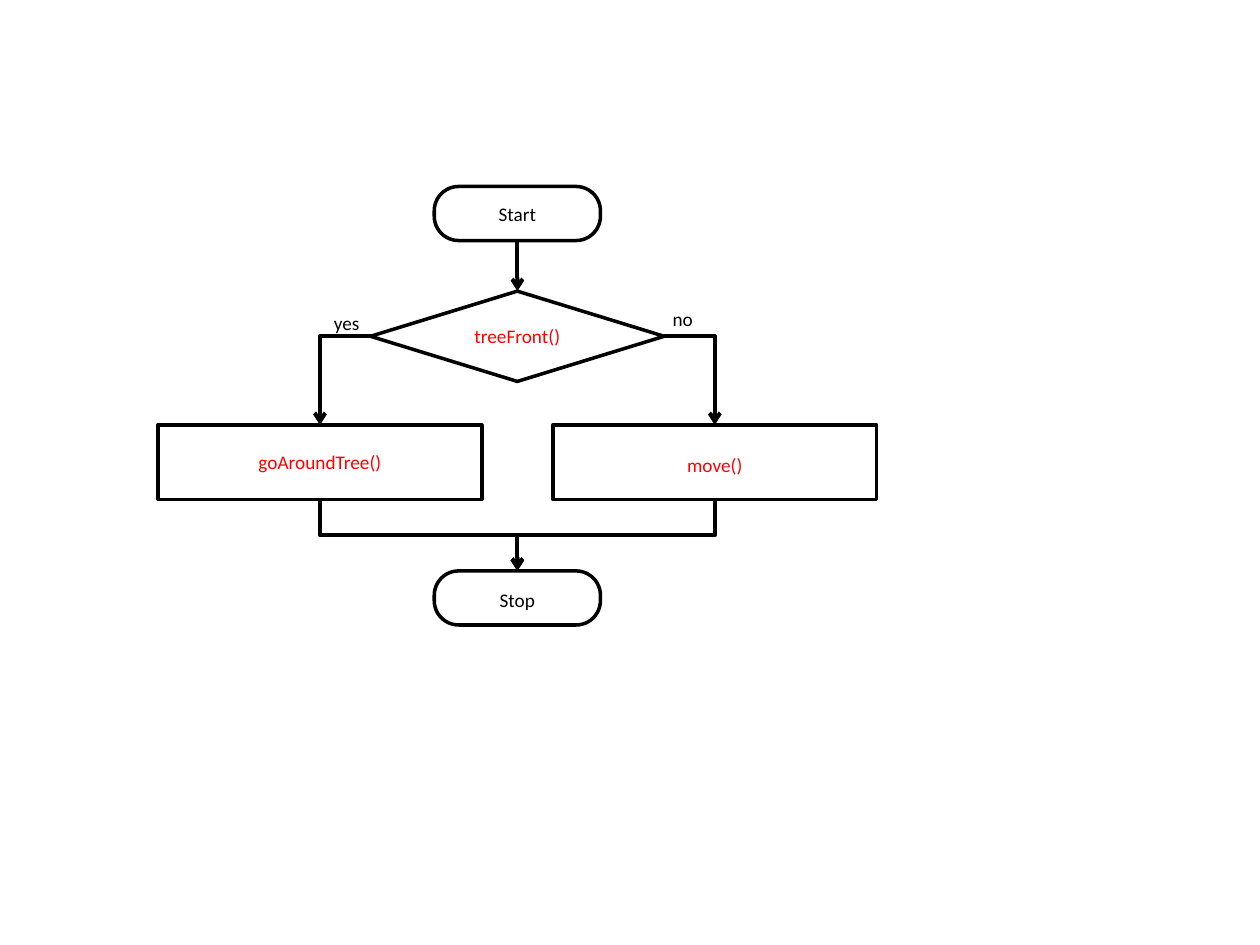
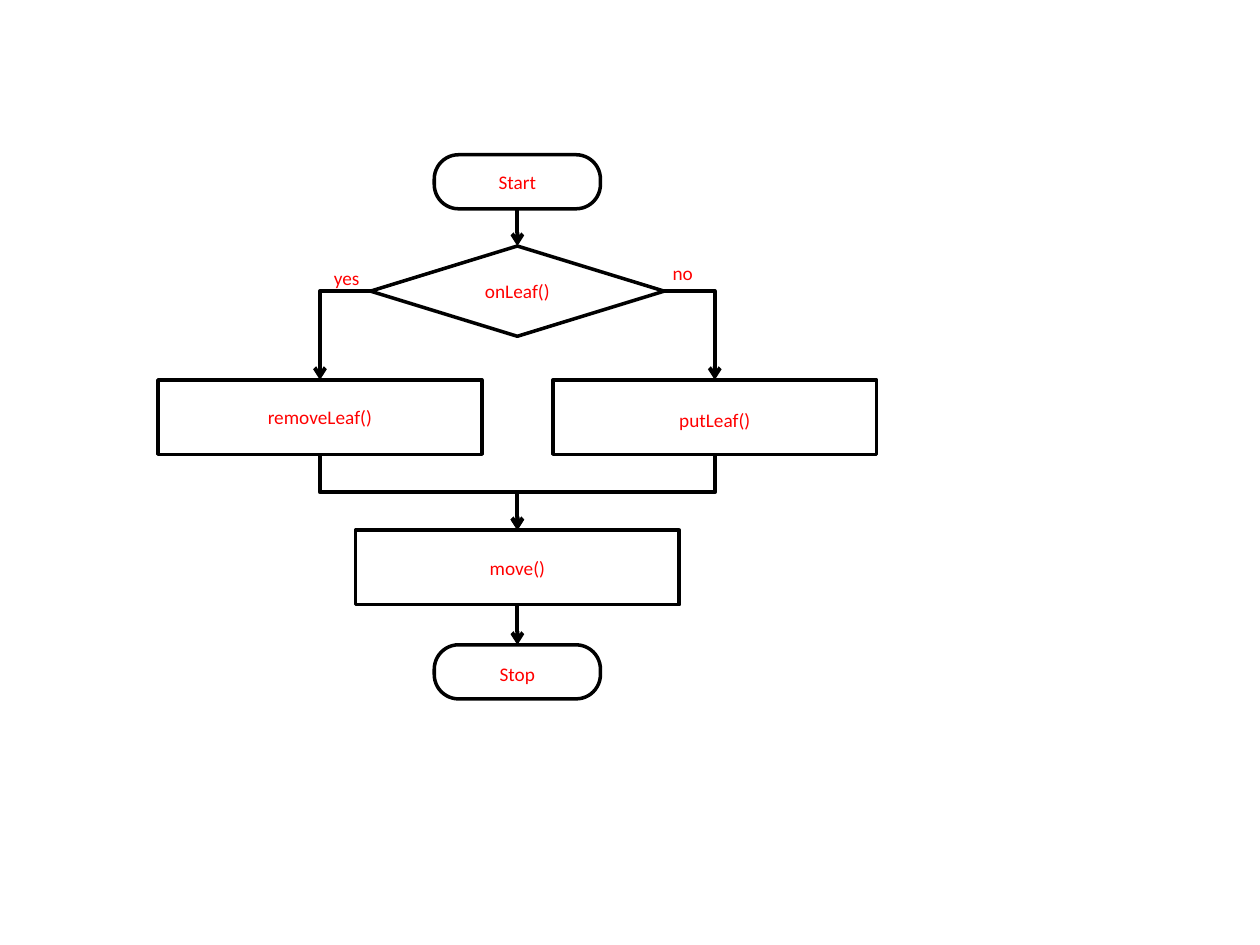
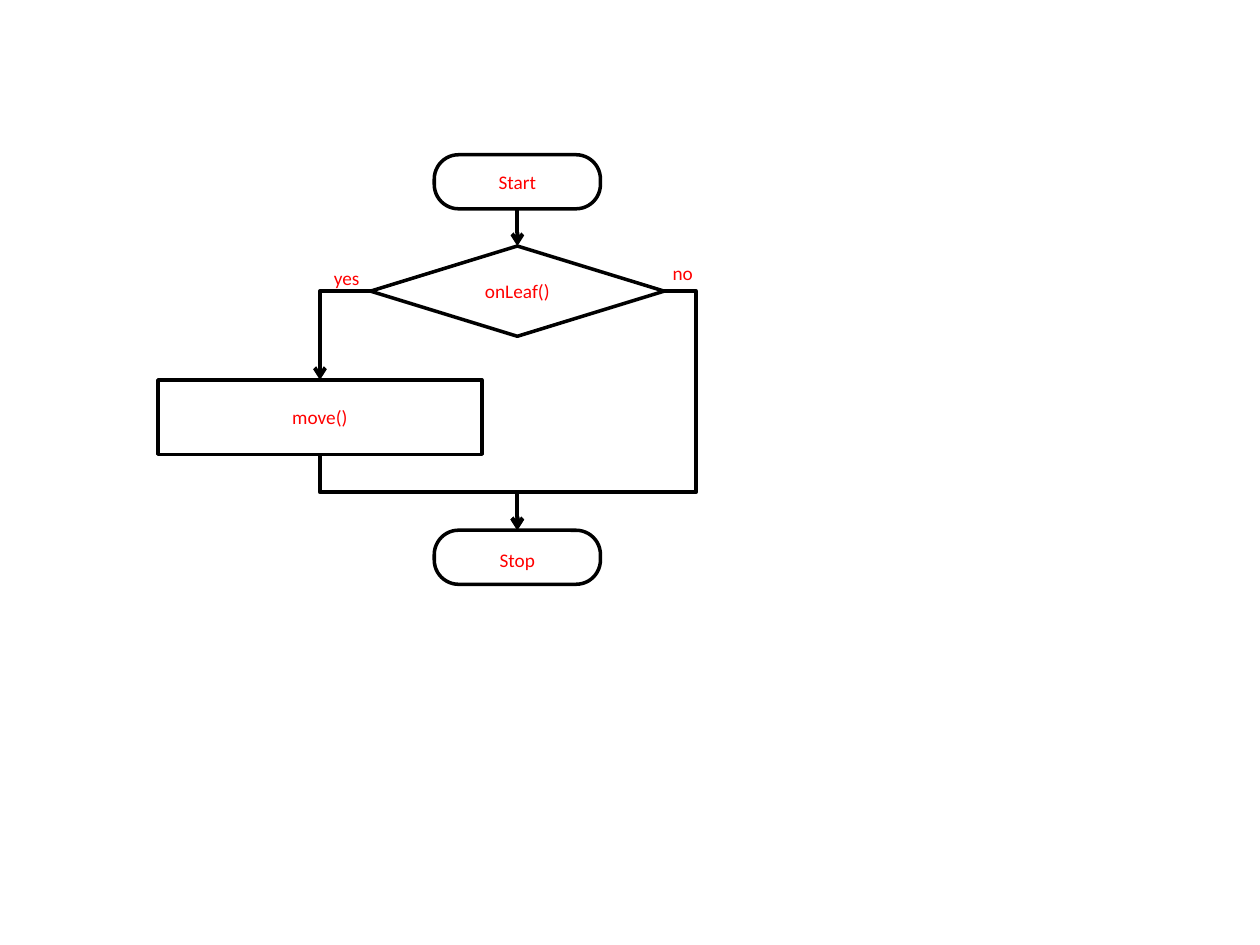
"""Build three flowcharts that branch on a yes/no question."""
from dataclasses import dataclass
from typing import Optional

from lxml import etree
from pptx import Presentation
from pptx.dml.color import RGBColor
from pptx.enum.shapes import MSO_CONNECTOR, MSO_SHAPE
from pptx.enum.text import MSO_ANCHOR, PP_ALIGN
from pptx.oxml.ns import qn
from pptx.shapes.shapetree import SlideShapes
from pptx.text.text import TextFrame
from pptx.util import Cm, Pt

STRAIGHT = MSO_CONNECTOR.STRAIGHT
ELBOW = MSO_CONNECTOR.ELBOW
ROUNDED = MSO_SHAPE.ROUNDED_RECTANGLE
RECTANGLE = MSO_SHAPE.RECTANGLE
DECISION = MSO_SHAPE.FLOWCHART_DECISION
CENTER = PP_ALIGN.CENTER
MIDDLE = MSO_ANCHOR.MIDDLE


@dataclass(frozen=True)
class Theme:
    font: str = "Calibri"
    text_size: Pt = Pt(11)
    outline: Pt = Pt(2)
    arrow: Pt = Pt(2.25)
    black: RGBColor = RGBColor(0x00, 0x00, 0x00)
    red: RGBColor = RGBColor(0xFF, 0x00, 0x00)
    white: RGBColor = RGBColor(0xFF, 0xFF, 0xFF)
    roundness: float = 0.45
    loose: float = 1.2


@dataclass(frozen=True)
class Step:
    preset: MSO_SHAPE
    width: float
    height: float


@dataclass(frozen=True)
class Flow:
    question: str
    yes_action: str
    no_action: Optional[str]
    start_top: float
    question_top: float
    merge_top: float
    final_action: Optional[str] = None
    stop_top: Optional[float] = None
    frame_color: RGBColor = Theme.red


THEME = Theme()
TERMINAL = Step(ROUNDED, 3.35, 1.09)
QUESTION = Step(DECISION, 5.92, 1.82)
ACTION = Step(RECTANGLE, 6.53, 1.5)

AXIS = 10.43
BRANCH = 3.98
YES_X = AXIS - BRANCH
NO_X = AXIS + BRANCH
ACTION_DROP = 2.7
BYPASS = 0.64
LABEL_DROP = 0.19
LABEL_WIDTH, LABEL_HEIGHT = 1.32, 0.76
YES_LABEL_X, NO_LABEL_X = 6.48, 13.31

FLOWS = (
    Flow("treeFront()", "goAroundTree()", "move()", 3.76, 5.87, 11.51,
         frame_color=THEME.black),
    Flow("onLeaf()", "removeLeaf()", "putLeaf()", 3.12, 4.96, 10.69,
         final_action="move()", stop_top=13.0),
    Flow("onLeaf()", "move()", None, 3.12, 4.96, 10.69),
)


def write(frame: TextFrame, words: str, color: RGBColor,
          spacing: Optional[float] = None) -> None:
    """Put one styled run into the first paragraph."""
    frame.word_wrap = True
    paragraph = frame.paragraphs[0]
    if spacing:
        paragraph.line_spacing = spacing
    run = paragraph.add_run()
    run.text = words
    run.font.name = THEME.font
    run.font.size = THEME.text_size
    run.font.color.rgb = color


def draw_step(shapes: SlideShapes, step: Step, center: float, top: float,
              words: str, color: RGBColor = THEME.red,
              spacing: Optional[float] = None) -> float:
    """Draw a step centred on a column and return its bottom edge."""
    shape = shapes.add_shape(step.preset, Cm(center - step.width / 2), Cm(top),
                             Cm(step.width), Cm(step.height))
    shape.shadow.inherit = False
    shape.fill.solid()
    shape.fill.fore_color.rgb = THEME.white
    shape.line.color.rgb = THEME.black
    shape.line.width = THEME.outline
    frame = shape.text_frame
    if step.preset == ROUNDED:
        shape.adjustments[0] = THEME.roundness
    if step.preset == DECISION:
        frame.margin_left = frame.margin_right = 0
        frame.margin_top = frame.margin_bottom = 0
    frame.vertical_anchor = MIDDLE
    write(frame, words, color, spacing)
    frame.paragraphs[0].alignment = CENTER
    return top + step.height


def draw_label(shapes: SlideShapes, left: float, top: float, words: str,
               color: RGBColor, spacing: Optional[float] = None) -> None:
    """Name a branch beside the question."""
    label = shapes.add_textbox(Cm(left), Cm(top), Cm(LABEL_WIDTH),
                               Cm(LABEL_HEIGHT))
    write(label.text_frame, words, color, spacing)


def draw_arrow(shapes: SlideShapes, left: float, top: float, width: float,
               height: float, preset: str = "line", turn: int = 0,
               flip: Optional[str] = None,
               bends: tuple[float, ...] = ()) -> None:
    """Draw a connector in its unturned frame, then turn and flip it."""
    kind = STRAIGHT if preset == "line" else ELBOW
    connector = shapes.add_connector(kind, Cm(left), Cm(top),
                                     Cm(left + width), Cm(top + height))
    connector.line.color.rgb = THEME.black
    connector.line.width = THEME.arrow
    properties = connector._element.spPr
    etree.SubElement(properties.find(qn("a:ln")), qn("a:tailEnd"), type="arrow")
    etree.SubElement(properties, qn("a:effectLst"))
    frame = properties.find(qn("a:xfrm"))
    if turn:
        frame.set("rot", str(turn * 60000))
    if flip:
        frame.set(flip, "1")
    geometry = properties.find(qn("a:prstGeom"))
    geometry.set("prst", preset)
    for number, bend in enumerate(bends, 1):
        etree.SubElement(geometry.find(qn("a:avLst")), qn("a:gd"),
                         name=f"adj{number}", fmla=f"val {round(bend * 100000)}")


def draw_merge(shapes: SlideShapes, column: float, top: float, bottom: float) -> None:
    """Lead a branch down and back to the axis."""
    drop = bottom - top
    left = (column + AXIS - drop) / 2
    upper = (top + bottom - BRANCH) / 2
    turn, flip = (270, "flipH") if column < AXIS else (90, None)
    draw_arrow(shapes, left, upper, drop, BRANCH, "bentConnector3", turn, flip)


def draw_flow(shapes: SlideShapes, flow: Flow) -> None:
    """Draw one complete flowchart."""
    start_bottom = draw_step(shapes, TERMINAL, AXIS, flow.start_top, "Start",
                             flow.frame_color)
    draw_arrow(shapes, AXIS, start_bottom, 0, flow.question_top - start_bottom)
    draw_step(shapes, QUESTION, AXIS, flow.question_top, flow.question)

    label_top = flow.question_top + LABEL_DROP
    branch_y = flow.question_top + QUESTION.height / 2
    question_right = AXIS + QUESTION.width / 2
    action_top = flow.question_top + ACTION_DROP
    reach = BRANCH - QUESTION.width / 2
    drop = action_top - branch_y

    draw_label(shapes, NO_LABEL_X, label_top, "no", flow.frame_color)
    draw_arrow(shapes, YES_X, branch_y, reach, drop, "bentConnector2", 180, "flipV")
    action_bottom = draw_step(shapes, ACTION, YES_X, action_top, flow.yes_action)
    if flow.no_action:
        draw_step(shapes, ACTION, NO_X, action_top, flow.no_action,
                  spacing=THEME.loose)
        draw_arrow(shapes, question_right, branch_y, reach, drop, "bentConnector2")
        draw_merge(shapes, NO_X, action_bottom, flow.merge_top)
    else:
        width = QUESTION.width / 2
        height = flow.merge_top - branch_y
        merge_y = (action_bottom + flow.merge_top) / 2
        draw_arrow(shapes, AXIS, branch_y, width, height, "bentConnector4",
                   flip="flipH",
                   bends=(-BYPASS / width, (merge_y - branch_y) / height))
    draw_label(shapes, YES_LABEL_X, label_top, "yes", flow.frame_color, THEME.loose)
    draw_merge(shapes, YES_X, action_bottom, flow.merge_top)

    stop_top = flow.merge_top
    if flow.final_action:
        final_bottom = draw_step(shapes, ACTION, AXIS, flow.merge_top,
                                 flow.final_action)
        stop_top = flow.stop_top
        draw_arrow(shapes, AXIS, final_bottom, 0, stop_top - final_bottom)
    draw_step(shapes, TERMINAL, AXIS, stop_top, "Stop", flow.frame_color,
              THEME.loose)


def main() -> None:
    """Build and save the presentation."""
    deck = Presentation()
    deck.slide_width, deck.slide_height = Cm(25.4), Cm(19.05)
    blank = deck.slide_layouts.get_by_name("Blank")
    for flow in FLOWS:
        draw_flow(deck.slides.add_slide(blank).shapes, flow)
    deck.save("out.pptx")


main()
